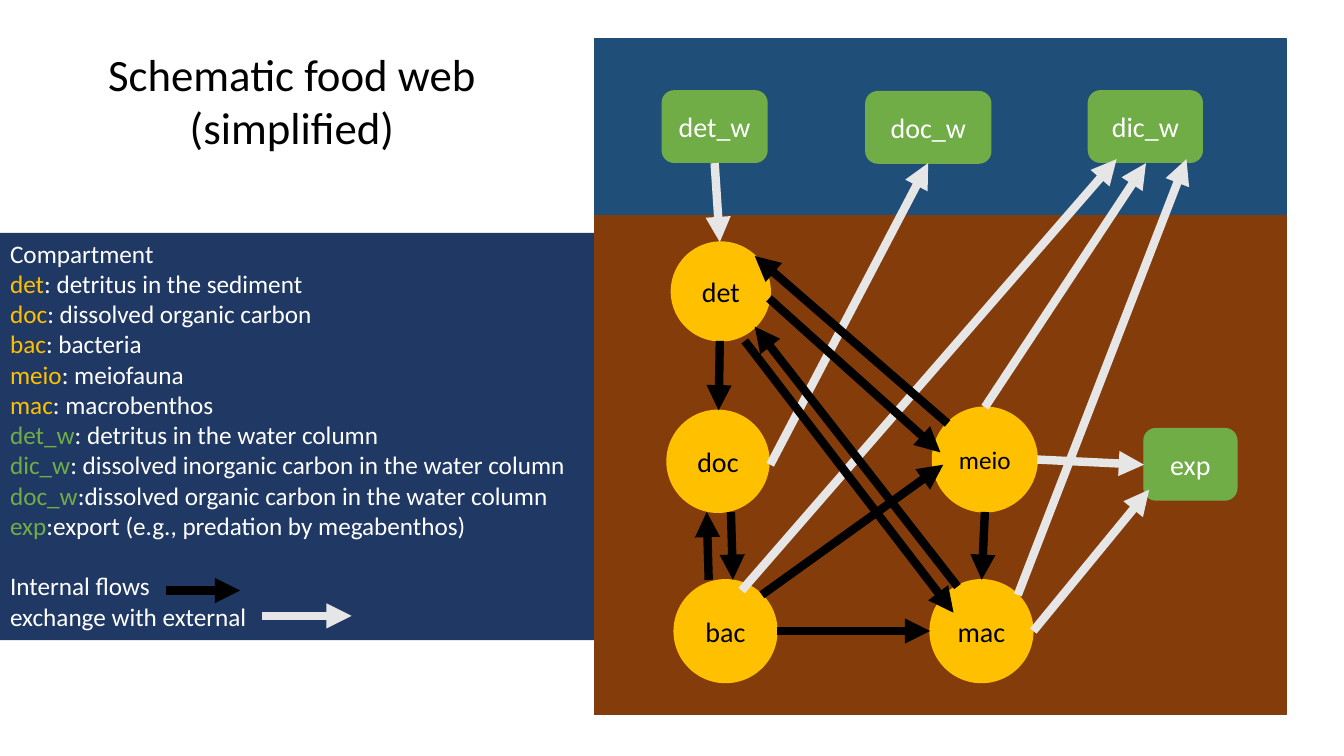
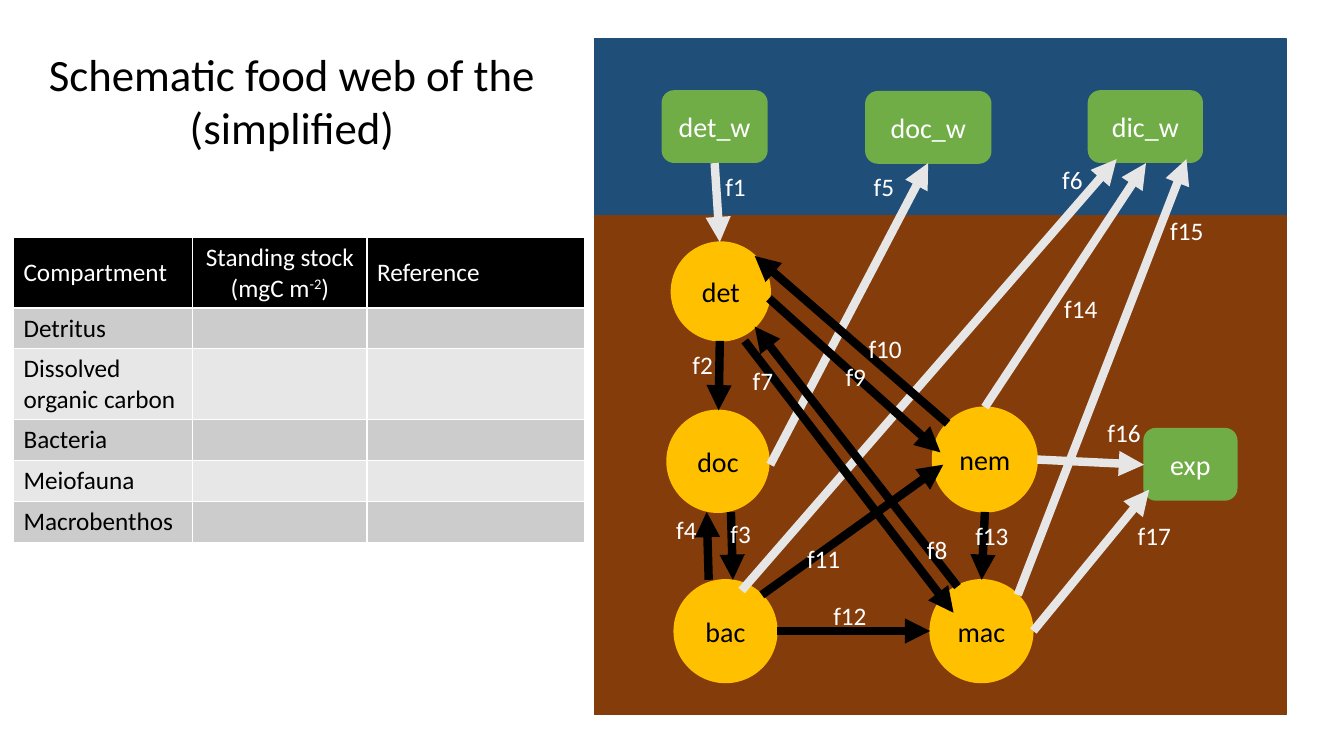
from lxml.etree import SubElement
from pptx import Presentation
from pptx.dml.color import RGBColor
from pptx.enum.shapes import MSO_CONNECTOR, MSO_SHAPE
from pptx.enum.text import MSO_ANCHOR, MSO_AUTO_SIZE, PP_ALIGN
from pptx.oxml.ns import qn
from pptx.util import Cm, Pt

FONT = "Calibri"
BLACK = RGBColor(0x00, 0x00, 0x00)
WHITE = RGBColor(0xFF, 0xFF, 0xFF)
WATER = RGBColor(0x1F, 0x4E, 0x79)
SEDIMENT = RGBColor(0x84, 0x3C, 0x0B)
NAVY = RGBColor(0x20, 0x38, 0x64)
GREEN = RGBColor(0x70, 0xAD, 0x47)
GOLD = RGBColor(0xFF, 0xC0, 0x00)
PALE = RGBColor(0xE7, 0xE6, 0xE6)
ROW_DARK = RGBColor(0xCC, 0xCC, 0xCC)
ROW_LIGHT = RGBColor(0xE7, 0xE7, 0xE7)

# Compartments: name, left, top, width, height (cm)
EXTERNAL = [
    ("doc_w", 21.82, 2.31, 3.15, 1.8),
    ("dic_w", 27.43, 2.29, 2.87, 1.8),
    ("det_w", 16.69, 2.29, 2.64, 1.8),
    ("exp", 28.83, 10.8, 2.34, 1.8),
]
INTERNAL = [
    ("det", 16.92, 6.1, 2.49, 2.49),
    ("doc", 16.81, 10.34, 2.57, 2.57),
    ("bac", 16.99, 14.61, 2.59, 2.59),
    ("meio", 23.5, 10.26, 2.64, 2.64),
    ("mac", 23.44, 14.61, 2.59, 2.59),
]

# Flows: name, colour, start, end, label corner (cm)
FLOWS = [
    ("f2", BLACK, (18.14, 8.59), (18.11, 10.34), (17.2, 8.69)),
    ("f3", BLACK, (18.42, 12.9), (18.47, 14.61), (18.16, 12.93)),
    ("f12", BLACK, (19.58, 15.9), (23.44, 15.9), (20.75, 15.01)),
    ("f11", BLACK, (19.2, 14.99), (23.77, 11.71), (20.09, 13.56)),
    ("f13", BLACK, (24.82, 12.9), (24.74, 14.61), (24.33, 12.98)),
    ("f5", PALE, (19.41, 11.71), (23.39, 4.11), (21.77, 4.19)),
    ("f1", PALE, (18.01, 4.11), (18.14, 6.1), (18.03, 4.19)),
    ("f6", PALE, (18.69, 14.88), (28.14, 4.01), (26.52, 4.01)),
    ("f14", PALE, (24.82, 10.26), (28.88, 4.11), (26.57, 7.26)),
    ("f15", PALE, (25.65, 14.99), (29.9, 4.01), (29.24, 5.31)),
    ("f16", PALE, (26.14, 11.58), (28.83, 11.71), (27.66, 10.39)),
    ("f17", PALE, (26.04, 15.9), (28.96, 12.34), (28.42, 12.98)),
    ("f10", BLACK, (23.88, 10.67), (19.02, 6.45), (21.64, 8.28)),
    ("f9", BLACK, (19.38, 7.52), (23.7, 11.4), (21.06, 8.97)),
    ("f8", BLACK, (24.13, 14.78), (19.02, 8.23), (23.11, 13.34)),
    ("f7", BLACK, (18.77, 8.59), (24.03, 15.44), (18.72, 9.09)),
    ("f4", BLACK, (17.86, 14.61), (17.81, 12.9), (16.79, 12.83)),
]


def add_arrow(slide, color, start, end):
    line = slide.shapes.add_connector(
        MSO_CONNECTOR.STRAIGHT, *[Cm(v) for v in (*start, *end)])
    line.line.color.rgb = color
    line.line.width = Pt(6)
    SubElement(line.line._get_or_add_ln(), qn("a:tailEnd"), type="triangle")
    SubElement(line._element.spPr, qn("a:effectLst"))


def add_web_slide(layout, title, renamed):
    slide = prs.slides.add_slide(layout)

    # Title
    sp = slide.shapes.title
    sp.left, sp.top, sp.width, sp.height = Cm(0.3), Cm(1.02), Cm(14.12), Cm(3)
    tf = sp.text_frame
    tf.text = title
    tf.auto_size = MSO_AUTO_SIZE.NONE
    p = tf.paragraphs[0]
    p.alignment = PP_ALIGN.CENTER
    p.font.name, p.font.size, p.font.color.rgb = FONT, Pt(32), BLACK

    # Water and sediment bands, then compartments
    groups = [
        (MSO_SHAPE.RECTANGLE, WATER, WHITE, [("", 14.99, 0.97, 17.42, 17.04)]),
        (MSO_SHAPE.RECTANGLE, SEDIMENT, WHITE, [("", 14.99, 5.44, 17.42, 12.55)]),
        (MSO_SHAPE.FLOWCHART_ALTERNATE_PROCESS, GREEN, WHITE, EXTERNAL),
        (MSO_SHAPE.OVAL, GOLD, BLACK, INTERNAL),
    ]
    for kind, fill, color, items in groups:
        for name, *box in items:
            sp = slide.shapes.add_shape(kind, *[Cm(v) for v in box])
            sp.shadow.inherit = False
            sp.fill.solid()
            sp.fill.fore_color.rgb = fill
            sp.line.color.rgb = fill
            sp.line.width = Pt(1)
            if name:
                tf = sp.text_frame
                tf.text = renamed.get(name, name)
                tf.word_wrap = False
                tf.vertical_anchor = MSO_ANCHOR.MIDDLE
                p = tf.paragraphs[0]
                p.alignment = PP_ALIGN.CENTER
                p.font.name, p.font.color.rgb = FONT, color
                p.font.size = Pt(18 if tf.text == "meio" else 20)

    for _, color, start, end, _ in FLOWS:
        add_arrow(slide, color, start, end)
    return slide


prs = Presentation()
prs.slide_width, prs.slide_height = Cm(33.87), Cm(19.05)

# Slide 1: food web with legend
slide = add_web_slide(prs.slide_layouts[1], "Schematic food web (simplified)", {})
LEGEND = [
    ("", "Compartment", WHITE),
    ("det", ": detritus in the sediment", GOLD),
    ("doc", ": dissolved organic carbon", GOLD),
    ("bac", ": bacteria", GOLD),
    ("meio", ": meiofauna", GOLD),
    ("mac", ": macrobenthos", GOLD),
    ("det_w", ": detritus in the water column", GREEN),
    ("dic_w", ": dissolved inorganic carbon in the water column", GREEN),
    ("doc_w", ":dissolved organic carbon in the water column", GREEN),
    ("exp", ":export (e.g., predation by megabenthos)", GREEN),
    ("", "Internal flows", WHITE),
    ("", "exchange with external", WHITE),
]
sp = slide.placeholders[1]
sp.left, sp.top, sp.width, sp.height = Cm(0), Cm(5.87), Cm(14.99), Cm(10.26)
sp.fill.solid()
sp.fill.fore_color.rgb = NAVY
tf = sp.text_frame
tf.auto_size = MSO_AUTO_SIZE.NONE
for i, (code, meaning, color) in enumerate(LEGEND):
    p = tf.add_paragraph() if i else tf.paragraphs[0]
    p.font.name, p.font.size, p.font.color.rgb = FONT, Pt(18), WHITE
    p.space_before = Pt(21.6 if meaning == "Internal flows" else 0)
    pPr = p._p.get_or_add_pPr()
    pPr.set("marL", "0")
    pPr.set("indent", "0")
    pPr.insert_element_before(pPr.makeelement(qn("a:buNone")), "a:tabLst", "a:defRPr")
    if code:
        r = p.add_run()
        r.text = code
        r.font.color.rgb = color
    r = p.add_run()
    r.text = meaning
    r.font.color.rgb = WHITE
    r.font.size = Pt(18)
    p.runs[0].font.size = Pt(18)
add_arrow(slide, BLACK, (4.19, 14.88), (6.05, 14.88))
add_arrow(slide, PALE, (6.6, 15.52), (8.86, 15.52))

# Slide 2: food web with flow labels and stock table
slide = add_web_slide(prs.slide_layouts[5],
                      "Schematic food web of the (simplified)", {"meio": "nem"})
for name, _, _, _, (left, top) in FLOWS:
    width = 1.04 if len(name) == 2 else 1.4
    tf = slide.shapes.add_textbox(Cm(left), Cm(top), Cm(width), Cm(1.02)).text_frame
    tf.text = name
    tf.word_wrap = False
    p = tf.paragraphs[0]
    p.font.name, p.font.size, p.font.color.rgb = FONT, Pt(18), WHITE

ROWS = ["Compartment", "Detritus", "Dissolved organic carbon", "Bacteria",
        "Meiofauna", "Macrobenthos"]
HEIGHTS = [1.78, 1.03, 1.78, 1.03, 1.03, 1.03]
WIDTHS = [4.52, 4.39, 5.49]
table = slide.shapes.add_table(len(ROWS), len(WIDTHS), Cm(0.34), Cm(5.98),
                               Cm(sum(WIDTHS)), Cm(sum(HEIGHTS))).table
for col, width in zip(table.columns, WIDTHS):
    col.width = Cm(width)
for i, (row, name, height) in enumerate(zip(table.rows, ROWS, HEIGHTS)):
    row.height = Cm(height)
    row.cells[0].text = name
    for cell in row.cells:
        cell.fill.solid()
        cell.fill.fore_color.rgb = (ROW_DARK if i % 2 else ROW_LIGHT) if i else BLACK
        cell.vertical_anchor = MSO_ANCHOR.MIDDLE

# Header texts, with a raised exponent
table.cell(0, 2).text = "Reference"
p = table.cell(0, 1).text_frame.paragraphs[0]
p.alignment = PP_ALIGN.CENTER
for text in ("Standing stock (mgC m", "-2", ")"):
    r = p.add_run()
    r.text = text
    if text == "-2":
        r.font._element.set("baseline", "30000")
for i, row in enumerate(table.rows):
    for cell in row.cells:
        for r in cell.text_frame.paragraphs[0].runs:
            r.font.name, r.font.size, r.font.bold = FONT, Pt(18), False
            r.font.color.rgb = BLACK if i else WHITE

prs.save("out.pptx")
